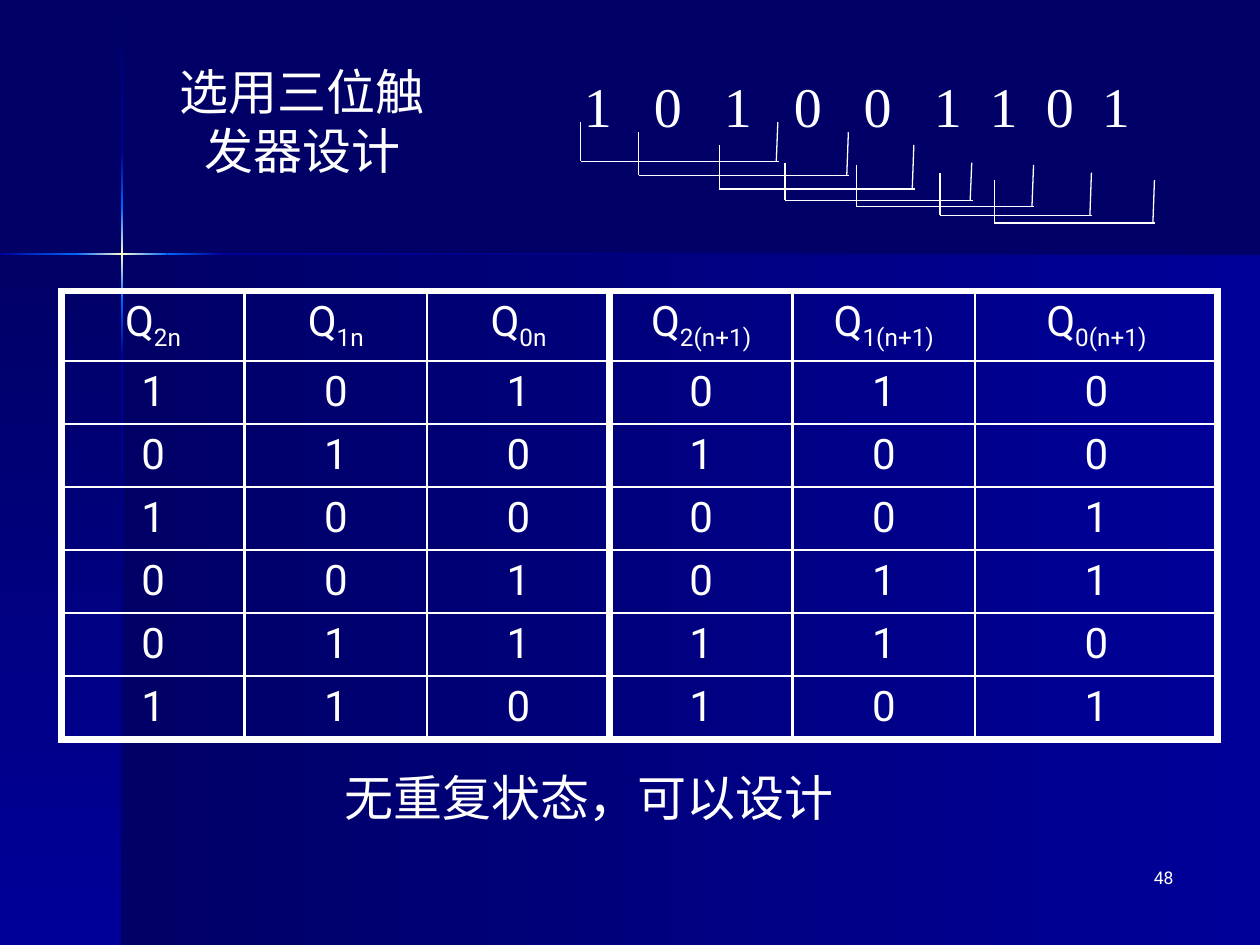
from lxml.etree import SubElement
from pptx import Presentation
from pptx.dml.color import RGBColor
from pptx.enum.shapes import MSO_CONNECTOR as Connector, MSO_SHAPE as Preset
from pptx.enum.text import PP_ALIGN as Align
from pptx.oxml.ns import qn
from pptx.util import Pt

NAVY = RGBColor(0x00, 0x00, 0x66)
BLUE = RGBColor(0x00, 0x00, 0x99)
AZURE = RGBColor(0x00, 0x66, 0xFF)
CREAM = RGBColor(0xFF, 0xFF, 0xCC)
WHITE = RGBColor(0xFF, 0xFF, 0xFF)
SANS, SERIF = "Roboto", "Times New Roman"
THIN, THICK = 1.5, 4.5
ACROSS, DOWN = 0, 90


def add_color(parent, color):
    fill = SubElement(parent, qn("a:solidFill"))
    SubElement(fill, qn("a:srgbClr"), val=str(color))


class SlideBuilder:
    def __init__(self, deck):
        self.page = deck.slides.add_slide(deck.slide_layouts[6])
        background = self.page.background.fill
        background.solid()
        background.fore_color.rgb = NAVY

    def style(self, span, size, name):
        for key, value in {"size": Pt(size), "name": name, "bold": False}.items():
            setattr(span.font, key, value)
        span.font.color.rgb = WHITE

    def gradient(self, left, top, width, height, angle, colors):
        panel = self.page.shapes.add_shape(
            Preset.RECTANGLE, Pt(left), Pt(top), Pt(width), Pt(height))
        panel.shadow.inherit = False
        panel.line.fill.background()
        panel.fill.gradient()
        fill = panel.fill._xPr.find(qn("a:gradFill"))
        for child in list(fill):
            fill.remove(child)
        stops = SubElement(fill, qn("a:gsLst"))
        for index, color in enumerate(colors):
            position = index * 100000 // (len(colors) - 1)
            stop = SubElement(stops, qn("a:gs"), pos=str(position))
            SubElement(stop, qn("a:srgbClr"), val=str(color))
        SubElement(fill, qn("a:lin"), ang=str(angle * 60000), scaled="0")

    def text(self, left, top, width, height, words, size, name,
             align=Align.CENTER, inset=7.2, tabs=()):
        box = self.page.shapes.add_textbox(Pt(left), Pt(top), Pt(width), Pt(height))
        frame = box.text_frame
        frame.word_wrap = True
        frame.margin_left = Pt(inset)
        para = frame.paragraphs[0]
        para.alignment = align
        if tabs:
            tab_list = SubElement(para._p.get_or_add_pPr(), qn("a:tabLst"))
            for position in tabs:
                SubElement(tab_list, qn("a:tab"), pos=str(Pt(position)), algn="l")
        span = para.add_run()
        span.text = words
        self.style(span, size, name)

    def line(self, group, x1, y1, x2, y2):
        line = group.shapes.add_connector(
            Connector.STRAIGHT, Pt(x1), Pt(y1), Pt(x2), Pt(y2))
        line.line.width = Pt(0.75)
        line.line.color.rgb = WHITE
        SubElement(line._element.spPr, qn("a:effectLst"))

    def bracket(self, left, right, top, bottom):
        group = self.page.shapes.add_group_shape()
        self.line(group, left, top, left, bottom)
        self.line(group, left, bottom, right, bottom)
        self.line(group, right - 1.4, bottom, right - 0.5, top)

    def cell(self, cell, base, subscript, borders):
        properties = cell._tc.get_or_add_tcPr()
        for side, width in borders.items():
            border = SubElement(properties, qn(f"a:ln{side}"), w=str(Pt(width)))
            add_color(border, WHITE)
        cell.fill.background()
        para = cell.text_frame.paragraphs[0]
        para.alignment = Align.CENTER
        for words, baseline in ((base, "0"), (subscript, "-25000")):
            if words:
                span = para.add_run()
                span.text = words
                self.style(span, 24, SANS)
                span._r.get_or_add_rPr().set("baseline", baseline)

    def state_table(self, left, top, widths, row_height, headings, states):
        rows = [[("Q", name) for name in headings]]
        rows += [[(bit, "") for bit in state] for state in states]
        last = len(rows) - 1
        table = self.page.shapes.add_table(
            len(rows), len(widths), Pt(left), Pt(top),
            Pt(sum(widths)), Pt(row_height * len(rows))).table
        table.first_row = table.horz_banding = False
        for column, width in zip(table.columns, widths):
            column.width = Pt(width)
        for y, row in enumerate(rows):
            table.rows[y].height = Pt(row_height)
            for x, (base, subscript) in enumerate(row):
                borders = {
                    "L": THICK if x % 3 == 0 else THIN,
                    "R": THICK if x % 3 == 2 else THIN,
                    "T": THICK if y == 0 else THIN,
                    "B": THICK if y == last else THIN,
                }
                self.cell(table.cell(y, x), base, subscript, borders)


def main():
    deck = Presentation()
    deck.slide_width, deck.slide_height = Pt(720), Pt(540)
    slide = SlideBuilder(deck)

    for panel in (
        (69.84, 145.44, 650.16, 394.56, ACROSS, (NAVY, BLUE)),
        (0, 145.44, 69.84, 394.56, DOWN, (NAVY, BLUE)),
    ):
        slide.gradient(*panel)
    for top, bottom, colors in (
        (0.7, 87.1, (NAVY, BLUE)),
        (203, 540, (BLUE, NAVY)),
        (171.4, 203, (AZURE, BLUE)),
        (87.1, 118.8, (BLUE, AZURE)),
        (118.8, 171.4, (AZURE, CREAM, AZURE)),
    ):
        slide.gradient(69.2, top, 1.2, bottom - top, DOWN, colors)
    for left, right, colors in (
        (127.4, 720, (BLUE, NAVY)),
        (0, 43.6, (BLUE, AZURE)),
        (95.8, 127.4, (AZURE, BLUE)),
        (43.6, 95.8, (AZURE, CREAM, AZURE)),
    ):
        slide.gradient(left, 144.7, right - left, 1.2, ACROSS, colors)

    slide.text(527.8, 491.8, 149.8, 36, "48", 10, SANS, Align.RIGHT)
    slide.text(314.6, 37.4, 351.4, 46, "\t".join("101001101"), 32, SERIF,
               Align.LEFT, 19, (40, 80, 120, 160, 200, 232, 264, 296))
    slide.text(87.8, 31.7, 169.9, 74.9, "选用三位触发器设计", 28, SERIF)
    slide.text(92.9, 434.9, 487.4, 41, "无重复状态，可以设计", 28, SERIF)

    slide.state_table(
        35.3, 166.3, [104.4] * 5 + [138.6], 31.5,
        ("2n", "1n", "0n", "2(n+1)", "1(n+1)", "0(n+1)"),
        ("101010", "010100", "100001", "001011", "011110", "110101"))

    for bracket in (
        (331.9, 445, 69.8, 92.2),
        (365, 485.3, 75.6, 100.1),
        (411.1, 522.7, 82.8, 108),
        (448.6, 555.8, 92.9, 114.5),
        (489.6, 591.1, 94.3, 118.1),
        (537.1, 624.2, 98.6, 123.1),
        (568.1, 660.2, 103, 127.4),
    ):
        slide.bracket(*bracket)

    deck.save("out.pptx")


if __name__ == "__main__":
    main()
